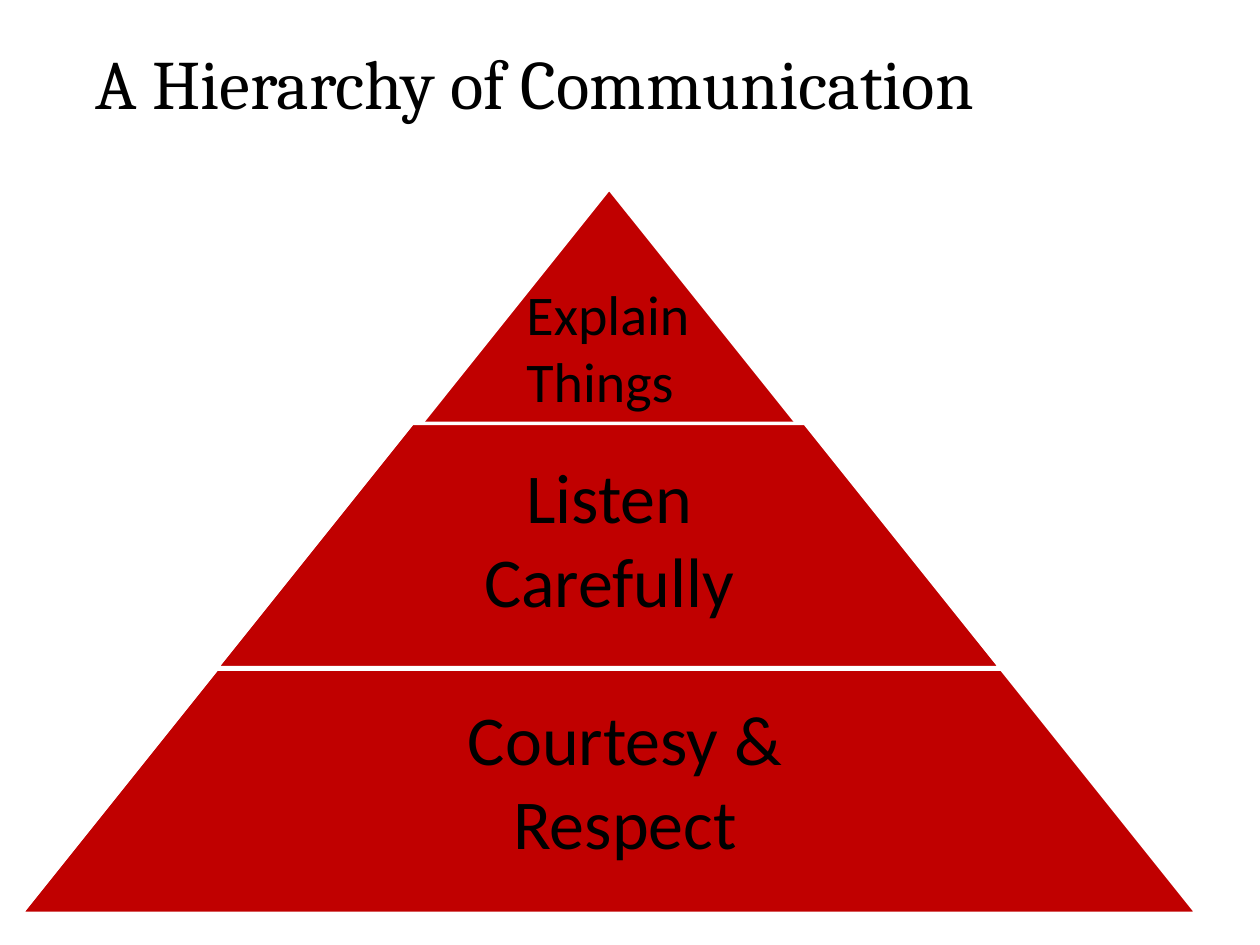
"""Build a one-slide pyramid showing a hierarchy of communication."""
from dataclasses import dataclass

import pptx
import pptx.dml.color
import pptx.enum.shapes
import pptx.enum.text
import pptx.util

PX = 9144
COLORS = {"text": "000000", "tier": "C00000", "edge": "FFFFFF"}
ALIGN = pptx.enum.text.PP_ALIGN
ANCHOR = pptx.enum.text.MSO_ANCHOR


@dataclass(frozen=True)
class Box:
    left: int
    top: int
    width: int
    height: int

    def emu(self) -> tuple[int, ...]:
        return tuple(v * PX for v in (self.left, self.top, self.width, self.height))


@dataclass(frozen=True)
class Tier:
    box: Box
    text: str
    text_box: Box
    size: int = 40
    align: ALIGN = ALIGN.CENTER
    inset: int = 10


TIERS = [
    Tier(Box(328, 150, 311, 194), "Explain Things", Box(408, 217, 175, 118),
         size=32, align=ALIGN.LEFT),
    Tier(Box(172, 336, 622, 194), "Listen Carefully", Box(350, 355, 267, 145)),
    Tier(Box(17, 531, 933, 194), "Courtesy & Respect", Box(267, 547, 458, 145), inset=20),
]


def rgb(name: str) -> pptx.dml.color.RGBColor:
    return pptx.dml.color.RGBColor.from_string(COLORS[name])


def add_text(s, box: Box, text: str, *, size: float, font: str = "Calibri",
             align: ALIGN = ALIGN.CENTER, anchor: ANCHOR = ANCHOR.TOP,
             inset: int = 10) -> None:
    tf = s.shapes.add_textbox(*box.emu()).text_frame
    tf.word_wrap = True
    tf.vertical_anchor = anchor
    tf.margin_left = tf.margin_right = inset * PX
    p = tf.paragraphs[0]
    p.alignment = align
    r = p.add_run()
    r.text = text
    r.font.size = pptx.util.Pt(size)
    r.font.name = font
    r.font.color.rgb = rgb("text")


def add_tier(s, tier: Tier) -> None:
    sp = s.shapes.add_shape(pptx.enum.shapes.MSO_SHAPE.TRAPEZOID, *tier.box.emu())
    sp.adjustments[0] = 0.8
    sp.shadow.inherit = False
    sp.fill.solid()
    sp.fill.fore_color.rgb = rgb("tier")
    sp.line.color.rgb = rgb("edge")
    sp.line.width = pptx.util.Pt(2)


def main() -> None:
    prs = pptx.Presentation()
    prs.slide_width, prs.slide_height = 1000 * PX, 750 * PX
    s = prs.slides.add_slide(prs.slide_layouts[6])
    add_text(s, Box(33, 30, 783, 70), "A Hierarchy of Communication",
             size=39.6, font="Cambria", anchor=ANCHOR.MIDDLE)
    for tier in TIERS:
        add_tier(s, tier)
    for tier in TIERS:
        add_text(s, tier.text_box, tier.text, size=tier.size,
                 align=tier.align, inset=tier.inset)
    prs.save("out.pptx")


if __name__ == "__main__":
    main()
